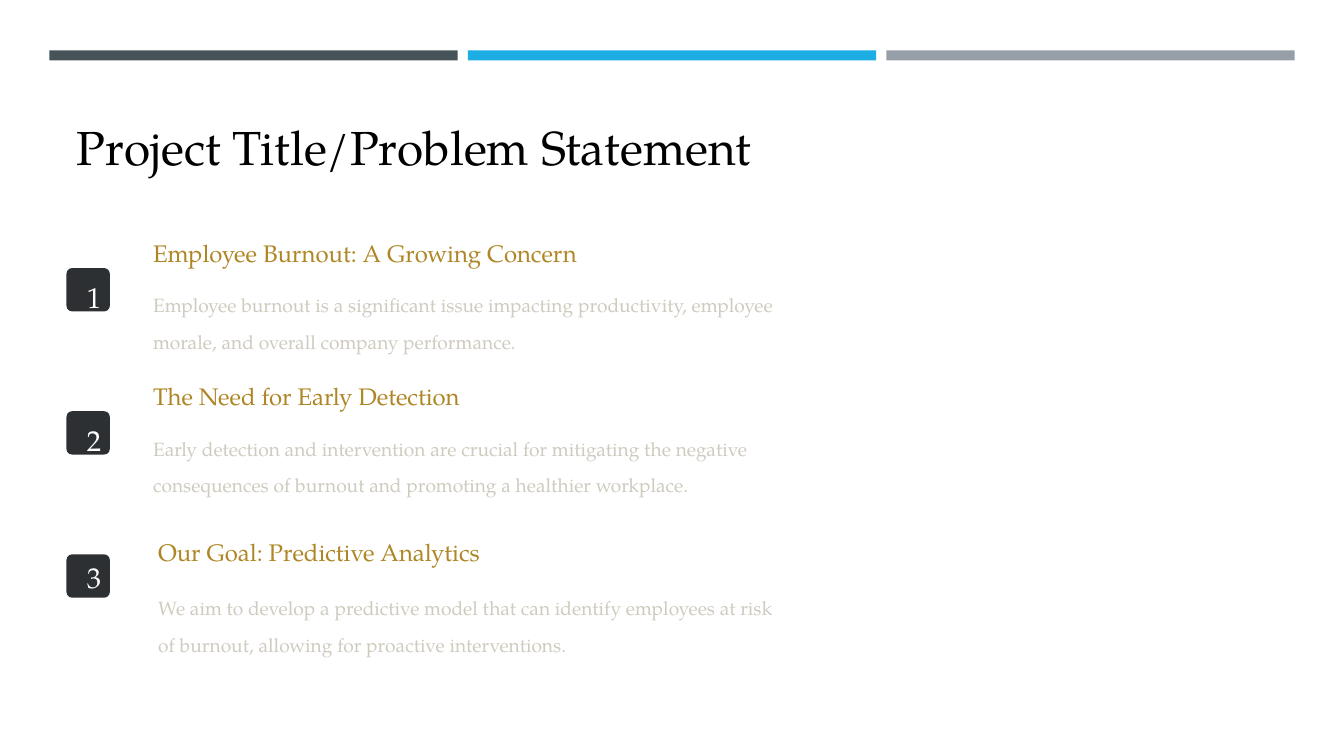
import pptx
import pptx.dml.color
import pptx.enum.shapes
import pptx.enum.text
import pptx.util

WIDTH, HEIGHT = 13.33, 7.5
FONT = "TeX Gyre Pagella"
SHAPES = pptx.enum.shapes.MSO_SHAPE
ALIGN = pptx.enum.text.PP_ALIGN

# Grid: three bands across the top, three rows of points below
BAND_LEFT, BAND_TOP, BAND_STEP = 0.49, 0.5, 4.15
BAND_WIDTH, BAND_HEIGHT = 4.05, 0.1
BAND_COLOURS = ["465359", "1CADE4", "969FA7"]
LEFT, BADGE_TOP, BADGE_SIZE, ROW_STEP = 0.66, 2.66, 0.43, 1.42

# Heading, body, text left, then tops of number, heading and body from the badge
POINTS = [
    ("Employee Burnout: A Growing Concern",
     "Employee burnout is a significant issue impacting productivity, "
     "employee morale, and overall company performance.",
     1.42, 0.07, -0.41, 0.07),
    ("The Need for Early Detection",
     "Early detection and intervention are crucial for mitigating the negative "
     "consequences of burnout and promoting a healthier workplace.",
     1.42, 0.07, -0.41, 0.07),
    ("Our Goal: Predictive Analytics",
     "We aim to develop a predictive model that can identify employees at risk "
     "of burnout, allowing for proactive interventions.",
     1.47, 0, -0.29, 0.23),
]


def colour(hex_value):
    return pptx.dml.color.RGBColor.from_string(hex_value)


def inches(*lengths):
    return [pptx.util.Inches(length) for length in lengths]


def add_block(slide, kind, box, fill):
    block = slide.shapes.add_shape(kind, *inches(*box))
    block.shadow.inherit = False
    block.fill.solid()
    block.fill.fore_color.rgb = colour(fill)
    block.line.fill.background()
    return block


def add_text(slide, text, box, size, leading, ink, align=ALIGN.LEFT, wrap=True):
    frame = slide.shapes.add_textbox(*inches(*box)).text_frame
    frame.word_wrap = wrap
    paragraph = frame.paragraphs[0]
    paragraph.alignment = align
    paragraph.line_spacing = pptx.util.Pt(leading)
    run = paragraph.add_run()
    run.text = text
    run.font.name = FONT
    run.font.size = pptx.util.Pt(size)
    run.font.color.rgb = colour(ink)


def add_point(slide, row, heading, body, text_left, number_dy, heading_dy, body_dy):
    top = BADGE_TOP + row * ROW_STEP
    badge = add_block(slide, SHAPES.ROUNDED_RECTANGLE,
                      (LEFT, top, BADGE_SIZE, BADGE_SIZE), "2D3033")
    badge.adjustments[0] = 0.13
    add_text(slide, str(row + 1), (LEFT + 0.13, top + number_dy, 0.17, 0.28),
             size=20.5, leading=24.6, ink="FFFFFF", align=ALIGN.CENTER, wrap=False)
    add_text(slide, heading, (text_left, top + heading_dy, 4.52, 0.3),
             size=17.1, leading=25.6, ink="AE8625")
    add_text(slide, body, (text_left, top + body_dy, 6.39, 0.61),
             size=13.7, leading=26.2, ink="CFCBBF")


def main():
    deck = pptx.Presentation()
    deck.slide_width, deck.slide_height = inches(WIDTH, HEIGHT)
    slide = deck.slides.add_slide(deck.slide_layouts[6])

    # Colour bands
    for column, fill in enumerate(BAND_COLOURS):
        add_block(slide, SHAPES.RECTANGLE,
                  (BAND_LEFT + column * BAND_STEP, BAND_TOP, BAND_WIDTH, BAND_HEIGHT),
                  fill)

    # Title
    add_text(slide, "Project Title/Problem Statement", (LEFT, 0.98, 7, 1.19),
             size=34.1, leading=51.2, ink="000000")

    # Numbered points
    for row, point in enumerate(POINTS):
        add_point(slide, row, *point)

    deck.save("out.pptx")


if __name__ == "__main__":
    main()
